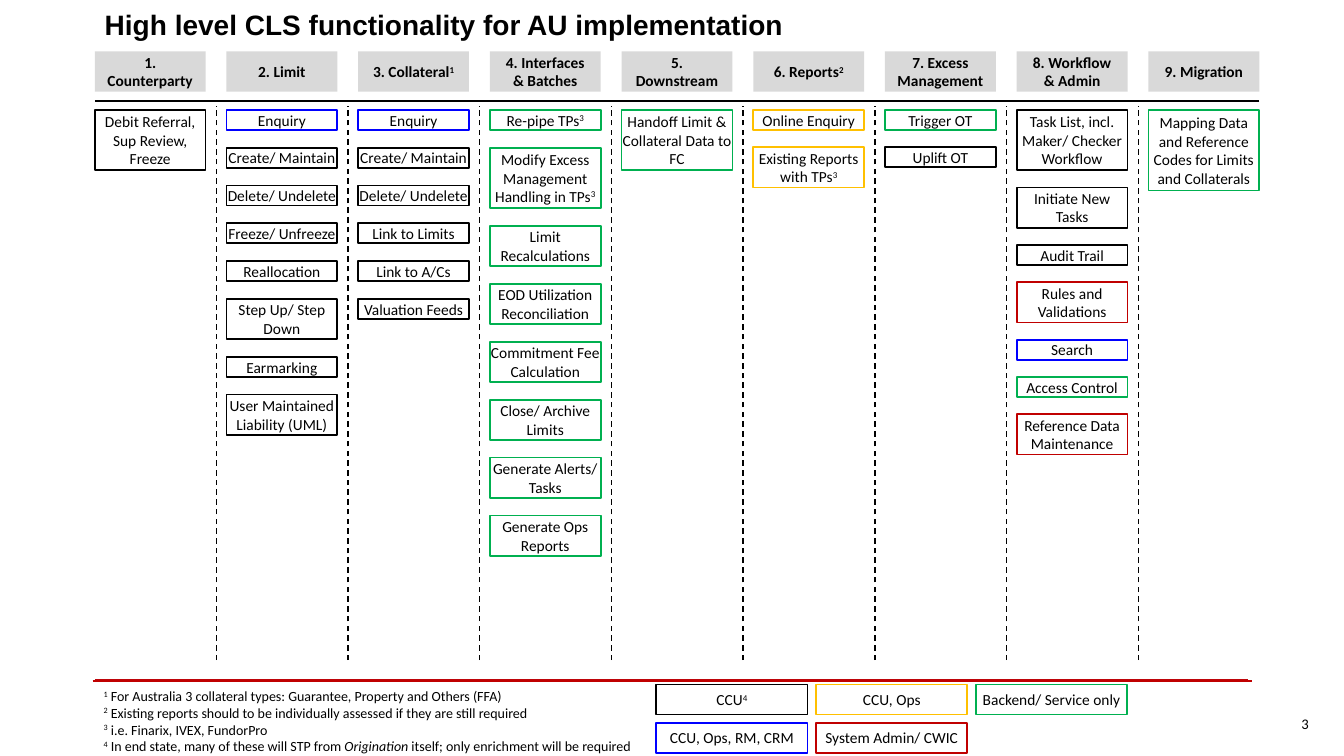
import pptx
import pptx.util
import pptx.dml.color
import pptx.enum.dml
import pptx.enum.shapes
import pptx.enum.text
import lxml.etree

Inches = pptx.util.Inches
RGBColor = pptx.dml.color.RGBColor
ALIGN = pptx.enum.text.PP_ALIGN
MIDDLE = pptx.enum.text.MSO_ANCHOR.MIDDLE
TOP = pptx.enum.text.MSO_ANCHOR.TOP

BLACK = RGBColor(0x00, 0x00, 0x00)
GREY = RGBColor(0xD9, 0xD9, 0xD9)
BLUE = RGBColor(0x00, 0x00, 0xFF)
GREEN = RGBColor(0x00, 0xB0, 0x50)
AMBER = RGBColor(0xFF, 0xC0, 0x00)
RED = RGBColor(0xC0, 0x00, 0x00)
CRIMSON = RGBColor(0xBE, 0x05, 0x0A)

LEFT = 0.94
WIDTH = 1.1
PITCH = 10.45 / 8
FIRST = 1.09
ROW = 0.2

deck = pptx.Presentation()
deck.slide_width = Inches(13.33)
deck.slide_height = Inches(7.5)
slide = deck.slides.add_slide(deck.slide_layouts[6])


def write(shape, text, size=11, font="Calibri", bold=False,
          align=ALIGN.CENTER, anchor=MIDDLE, wrap=True, inset=None):
    """Fill a shape with text; "|" splits runs, "^" raises one, "_" slants one."""
    frame = shape.text_frame
    frame.word_wrap = wrap
    frame.vertical_anchor = anchor
    if inset is not None:
        frame.margin_left = frame.margin_right = Inches(inset)
        frame.margin_top = frame.margin_bottom = Inches(inset)
    for index, line in enumerate(text.split("\n")):
        para = frame.add_paragraph() if index else frame.paragraphs[0]
        para.alignment = align
        for part in filter(None, line.split("|")):
            run = para.add_run()
            run.text = part.lstrip("^_")
            run.font.size = pptx.util.Pt(size)
            run.font.name = font
            run.font.bold = bold
            run.font.color.rgb = BLACK
            if part[0] == "^":
                run._r.get_or_add_rPr().set("baseline", "30000")
            elif part[0] == "_":
                run.font.italic = True


def rule(x1, y1, x2, y2, color, weight, dash=False):
    """Draw a straight line without a shadow."""
    line = slide.shapes.add_connector(
        pptx.enum.shapes.MSO_CONNECTOR.STRAIGHT,
        Inches(x1), Inches(y1), Inches(x2), Inches(y2))
    line.line.color.rgb = color
    line.line.width = pptx.util.Pt(weight)
    if dash:
        line.line.dash_style = pptx.enum.dml.MSO_LINE.DASH
    lxml.etree.SubElement(line._element.spPr, pptx.oxml.ns.qn("a:effectLst"))


rule(0.94, 6.75, 12.38, 6.75, CRIMSON, 1.5)
rule(0.92, 6.76, 12.42, 6.76, RED, 1.5)

title = slide.shapes.add_textbox(Inches(0.94), Inches(0), Inches(11.45), Inches(0.48))
write(title, "High level CLS functionality for AU implementation",
      size=20, font="Arial", bold=True, align=ALIGN.LEFT)

number = slide.shapes.add_textbox(Inches(11.52), Inches(6.97), Inches(1.56), Inches(0.42))
write(number, "3", size=10.5, align=ALIGN.RIGHT)

notes = slide.shapes.add_textbox(Inches(0.93), Inches(6.77), Inches(5.5), Inches(0.77))
write(notes,
      "^1| For Australia 3 collateral types: Guarantee, Property and Others (FFA)\n"
      "^2| Existing reports should to be individually assessed if they are still required\n"
      "^3| i.e. Finarix, IVEX, FundorPro\n"
      "^4| In end state, many of these will STP from |_Origination"
      "| itself; only enrichment will be required",
      size=10, align=ALIGN.LEFT, anchor=TOP)
notes.text_frame.auto_size = pptx.enum.text.MSO_AUTO_SIZE.SHAPE_TO_FIT_TEXT

# Each column: heading, gap between boxes, then (text, lines, colour) per box
columns = [
    ("1. Counterparty", 0.17, [("Debit Referral, Sup Review, Freeze", 3, BLACK)]),
    ("2. Limit", 0.35 / 2, [
        ("Enquiry", 1, BLUE),
        ("Create/ Maintain", 1, BLACK),
        ("Delete/ Undelete", 1, BLACK),
        ("Freeze/ Unfreeze", 1, BLACK),
        ("Reallocation", 1, BLACK),
        ("Step Up/ Step Down", 2, BLACK),
        ("Earmarking", 1, BLACK),
        ("User Maintained Liability (UML)", 2, BLACK)]),
    ("3. Collateral|^1", 0.35 / 2, [
        ("Enquiry", 1, BLUE),
        ("Create/ Maintain", 1, BLACK),
        ("Delete/ Undelete", 1, BLACK),
        ("Link to Limits", 1, BLACK),
        ("Link to A/Cs", 1, BLACK),
        ("Valuation Feeds", 1, BLACK)]),
    ("4. Interfaces & Batches", 0.35 / 2, [
        ("Re-pipe TPs|^3", 1, GREEN),
        ("Modify Excess Management Handling in TPs|^3", 3, GREEN),
        ("Limit Recalculations", 2, GREEN),
        ("EOD Utilization Reconciliation", 2, GREEN),
        ("Commitment Fee Calculation", 2, GREEN),
        ("Close/ Archive Limits", 2, GREEN),
        ("Generate Alerts/ Tasks", 2, GREEN),
        ("Generate Ops Reports", 2, GREEN)]),
    ("5. Downstream", 0.17, [("Handoff Limit & Collateral Data to FC", 3, GREEN)]),
    ("6. Reports|^2", 0.17, [
        ("Online Enquiry", 1, AMBER),
        ("Existing Reports with TPs|^3", 2, AMBER)]),
    ("7. Excess Management", 0.17, [
        ("Trigger OT", 1, GREEN),
        ("Uplift OT", 1, BLACK)]),
    ("8. Workflow & Admin", 0.17, [
        ("Task List, incl. Maker/ Checker Workflow", 3, BLACK),
        ("Initiate New Tasks", 2, BLACK),
        ("Audit Trail", 1, BLACK),
        ("Rules and Validations", 2, RED),
        ("Search", 1, BLUE),
        ("Access Control", 1, GREEN),
        ("Reference Data Maintenance", 2, RED)]),
    ("9. Migration", 0.17, [
        ("Mapping Data and Reference Codes for Limits and Collaterals", 4, GREEN)]),
]
legend = [
    ("CCU|^4", 0, 0, BLACK),
    ("CCU, Ops", 1, 0, AMBER),
    ("Backend/ Service only", 2, 0, GREEN),
    ("CCU, Ops, RM, CRM", 0, 1, BLUE),
    ("System Admin/ CWIC", 1, 1, RED),
]

boxes = []
for index, (head, gap, items) in enumerate(columns):
    x = LEFT + index * PITCH
    boxes.append((head, x, 0.51, WIDTH, 0.4, None))
    if index:
        rule(x - 0.1, 6.55, x - 0.1, 1.05, BLACK, 1, dash=True)
    y = FIRST
    for text, lines, color in items:
        boxes.append((text, x, y, WIDTH, lines * ROW, color))
        y += lines * ROW + gap
for text, col, row, color in legend:
    boxes.append((text, 6.51 + 1.585 * col, 6.79 + 0.38 * row, 1.5, 0.3, color))
rule(12.49, 1, LEFT, 1, BLACK, 1.25)

for text, x, y, width, height, color in boxes:
    box = slide.shapes.add_shape(
        pptx.enum.shapes.MSO_SHAPE.RECTANGLE,
        Inches(x), Inches(y), Inches(width), Inches(height))
    box.shadow.inherit = False
    if color is None:
        box.fill.solid()
        box.fill.fore_color.rgb = GREY
        box.line.fill.background()
        write(box, text, bold=True)
    else:
        box.fill.background()
        box.line.color.rgb = color
        box.line.width = pptx.util.Pt(1.25)
        write(box, text, inset=0)

deck.save("out.pptx")
